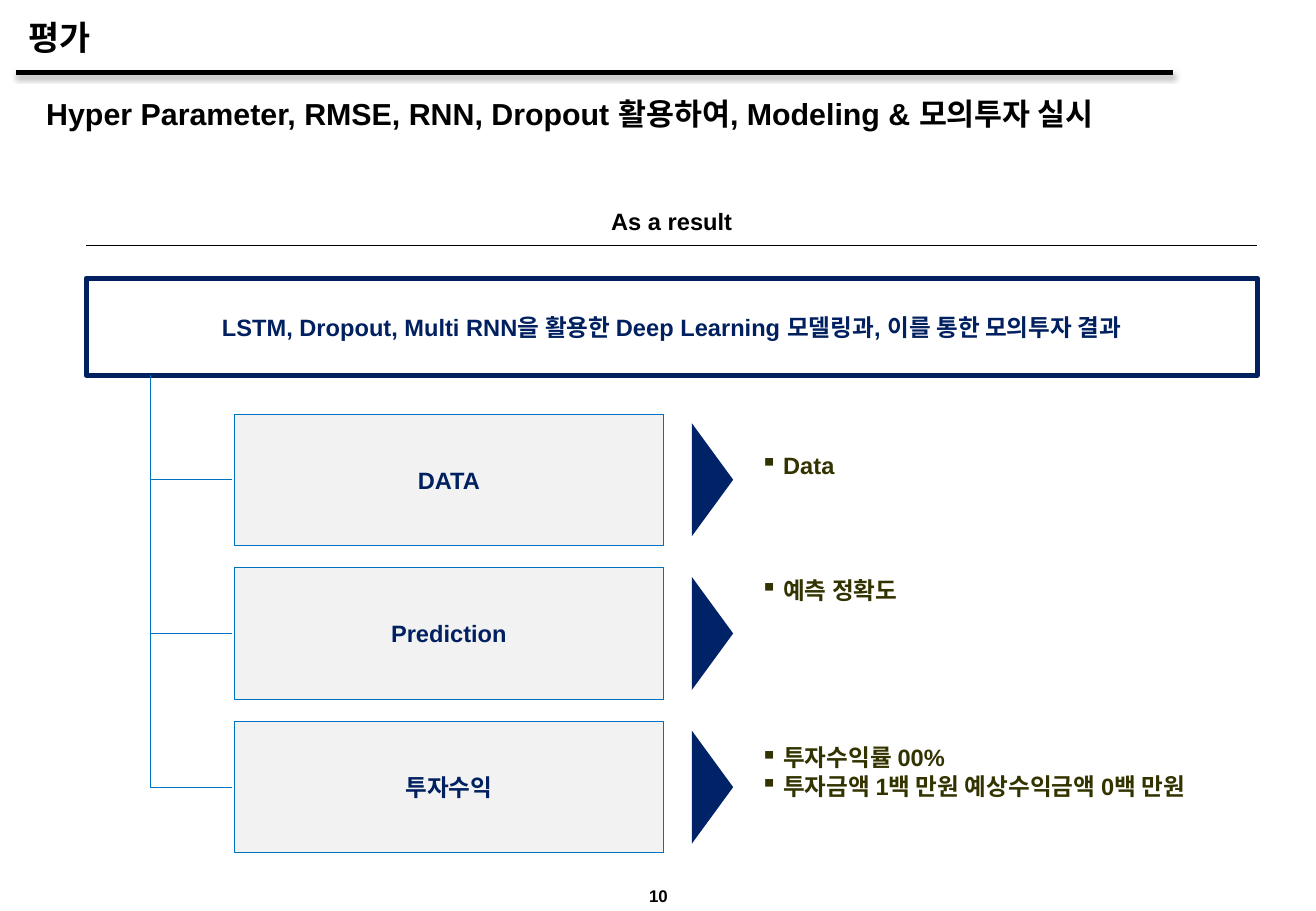
from lxml.etree import SubElement
from pptx import Presentation
from pptx.dml.color import RGBColor
from pptx.enum.shapes import MSO_CONNECTOR, MSO_SHAPE
from pptx.enum.text import MSO_ANCHOR, PP_ALIGN
from pptx.oxml.ns import qn
from pptx.util import Pt

COLORS = {
    "black": "000000",
    "white": "FFFFFF",
    "navy": "002060",
    "arrow": "002266",
    "blue": "0070C0",
    "grey": "F2F2F2",
    "olive": "333300",
}

# Step label, top of its findings, findings
STEPS = [
    ("DATA", 267.1, ["Data"]),
    ("Prediction", 341.3, ["예측 정확도"]),
    ("투자수익", 440.6, ["투자수익률 00%", "투자금액 1백 만원 예상수익금액 0백 만원"]),
]
STEP_TOP, STEP_HEIGHT, STEP_PITCH = 245.5, 77.8, 91.1
CONCLUSION_TOP, CONCLUSION_HEIGHT = 164.9, 57.6
TRUNK_X, BRANCH_END_X = 89.3, 137.5
ARROW_LENGTH, ARROW_SPAN, ARROW_CENTER_X = 24.5, 67, 422.3


def rgb(color):
    return RGBColor.from_string(COLORS[color])


def write(shape, lines, size, color, align=PP_ALIGN.LEFT,
          anchor=MSO_ANCHOR.MIDDLE, margins=(0, 0), before=0, bullet=None):
    frame = shape.text_frame
    frame.word_wrap = True
    frame.vertical_anchor = anchor
    frame.margin_left = frame.margin_right = Pt(margins[0])
    frame.margin_top = frame.margin_bottom = Pt(margins[1])
    frame.text = "\n".join(lines)
    for paragraph in frame.paragraphs:
        paragraph.alignment = align
        paragraph.space_before = Pt(before)
        font = paragraph.font
        font.name, font.size, font.bold = "Arial", Pt(size), True
        font.color.rgb = rgb(color)
        if bullet:
            properties = paragraph._p.get_or_add_pPr()
            properties.set("marL", str(Pt(13.5)))
            properties.set("indent", str(-Pt(13.5)))
            mark = properties.makeelement(qn("a:buChar"), {"char": bullet})
            properties.find(qn("a:defRPr")).addprevious(mark)


def add_text(slide, left, top, width, height, lines, size, color="black", **style):
    box = slide.shapes.add_textbox(Pt(left), Pt(top), Pt(width), Pt(height))
    write(box, lines, size, color, **style)
    return box


def add_shape(slide, kind, left, top, width, height, fill, line=None, line_width=0):
    shape = slide.shapes.add_shape(kind, Pt(left), Pt(top), Pt(width), Pt(height))
    shape.shadow.inherit = False
    shape.fill.solid()
    shape.fill.fore_color.rgb = rgb(fill)
    if line:
        shape.line.color.rgb = rgb(line)
        shape.line.width = Pt(line_width)
    else:
        shape.line.fill.background()
    return shape


def add_line(slide, x1, y1, x2, y2, color, width, kind=MSO_CONNECTOR.STRAIGHT):
    line = slide.shapes.add_connector(kind, Pt(x1), Pt(y1), Pt(x2), Pt(y2))
    line.line.color.rgb = rgb(color)
    line.line.width = Pt(width)
    SubElement(line._element.spPr, qn("a:effectLst"))
    return line


def add_branch(slide, x1, y1, x2, y2):
    """Connector that runs down and then right, as a turned one-bend elbow."""
    center_x, center_y = (x1 + x2) / 2, (y1 + y2) / 2
    half_width, half_height = (x2 - x1) / 2, (y2 - y1) / 2
    branch = add_line(slide, center_x + half_height, center_y - half_width,
                      center_x - half_height, center_y + half_width,
                      "blue", 0.5, MSO_CONNECTOR.ELBOW)
    properties = branch._element.spPr
    properties.find(qn("a:xfrm")).set("rot", str(270 * 60000))
    properties.find(qn("a:prstGeom")).set("prst", "bentConnector2")


def add_soft_shadow(line):
    effects = line._element.spPr.find(qn("a:effectLst"))
    shadow = SubElement(effects, qn("a:outerShdw"), blurRad=str(Pt(3.1)),
                        dist=str(Pt(1.8)), dir=str(90 * 60000), rotWithShape="0")
    color = SubElement(shadow, qn("a:srgbClr"), val=COLORS["black"])
    SubElement(color, qn("a:alpha"), val="35000")


def add_step(slide, index, label, findings_top, findings):
    top = STEP_TOP + index * STEP_PITCH
    middle = top + STEP_HEIGHT / 2
    step = add_shape(slide, MSO_SHAPE.RECTANGLE, 139, top, 254.2, STEP_HEIGHT,
                     "grey", "blue", 0.5)
    write(step, [label], 14, "navy", align=PP_ALIGN.CENTER, before=1.5)

    branch_top = middle - STEP_PITCH if index else CONCLUSION_TOP + CONCLUSION_HEIGHT
    add_branch(slide, TRUNK_X, branch_top, BRANCH_END_X, middle)

    arrow = add_shape(slide, MSO_SHAPE.ISOSCELES_TRIANGLE,
                      ARROW_CENTER_X - ARROW_SPAN / 2, middle - ARROW_LENGTH / 2,
                      ARROW_SPAN, ARROW_LENGTH, "arrow")
    arrow.rotation = 90

    add_text(slide, 450.7, findings_top, 293.8, 17 * len(findings), findings, 14,
             "olive", anchor=MSO_ANCHOR.TOP, bullet="▪")


def main():
    presentation = Presentation()
    presentation.slide_width, presentation.slide_height = Pt(780), Pt(540)
    slide = presentation.slides.add_slide(presentation.slide_layouts[6])

    # Header and page number
    header_rule = add_line(slide, 9.4, 43.2, 695.5, 43.2, "black", 3)
    add_soft_shadow(header_rule)
    add_text(slide, 10.1, 3.6, 660.2, 36.7, ["평가"], 20, margins=(7.2, 3.6))
    add_text(slide, 21.6, 52.6, 737.3, 56.9,
             ["Hyper Parameter, RMSE, RNN, Dropout 활용하여, Modeling & 모의투자 실시"],
             18, anchor=MSO_ANCHOR.TOP, margins=(5.8, 3.6), before=6)
    page_number = add_text(slide, 359.3, 523.4, 61.9, 15.1, ["10"], 10,
                           align=PP_ALIGN.CENTER, margins=(4.3, 4.3))
    page_number.text_frame.word_wrap = False

    # Result heading and conclusion
    add_line(slide, 51.1, 145.4, 745.2, 145.4, "black", 0.75)
    add_text(slide, 176.4, 122.4, 443.5, 17.3, ["As a result"], 14,
             align=PP_ALIGN.CENTER)
    conclusion = add_shape(slide, MSO_SHAPE.RECTANGLE, 51.1, CONCLUSION_TOP,
                           694.1, CONCLUSION_HEIGHT, "white", "navy", 3)
    write(conclusion,
          ["LSTM, Dropout, Multi RNN을 활용한 Deep Learning 모델링과, 이를 통한 모의투자 결과"],
          14, "navy", align=PP_ALIGN.CENTER, margins=(7.2, 3.6))

    # Steps with their findings
    for index, (label, findings_top, findings) in enumerate(STEPS):
        add_step(slide, index, label, findings_top, findings)

    presentation.save("out.pptx")


if __name__ == "__main__":
    main()
